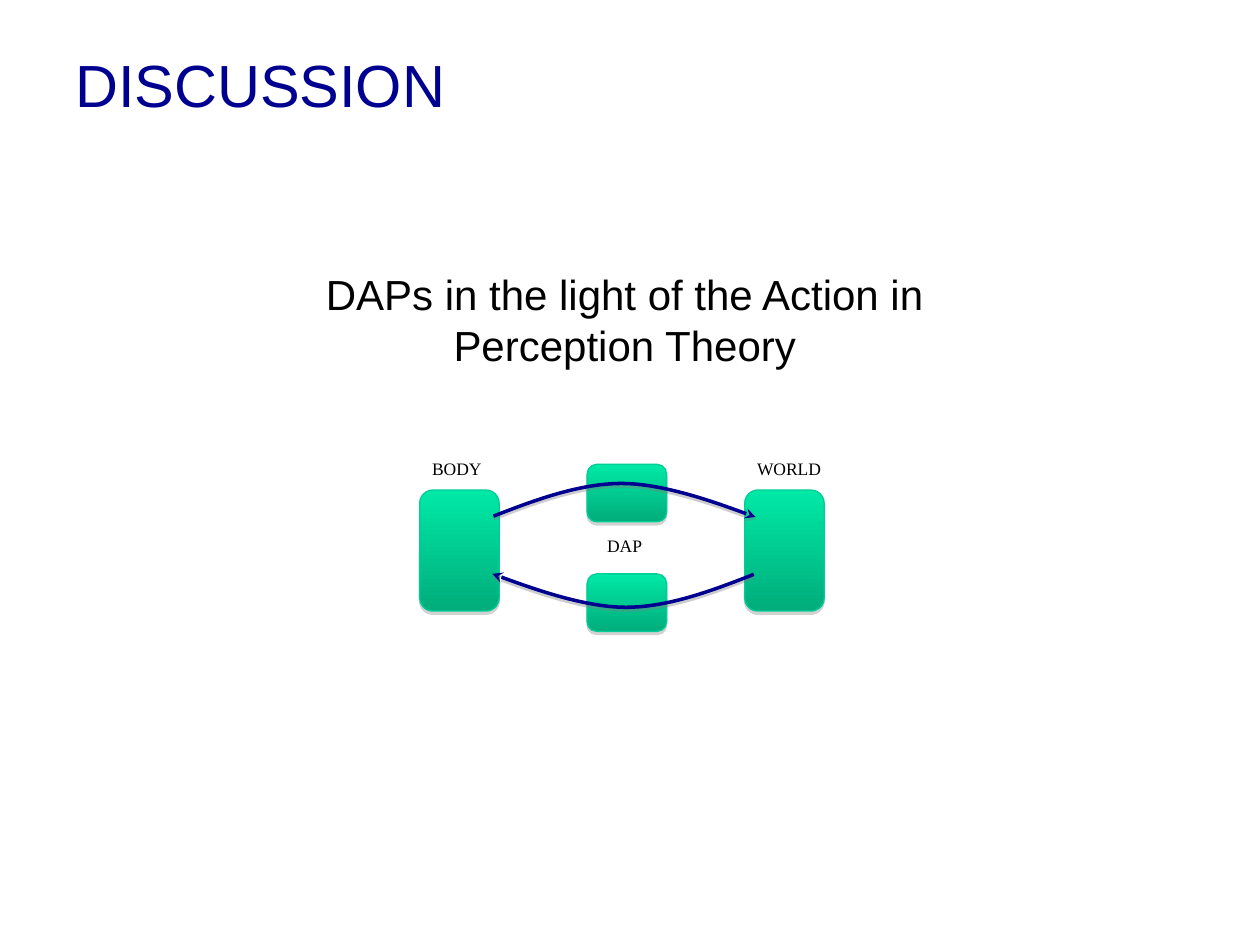
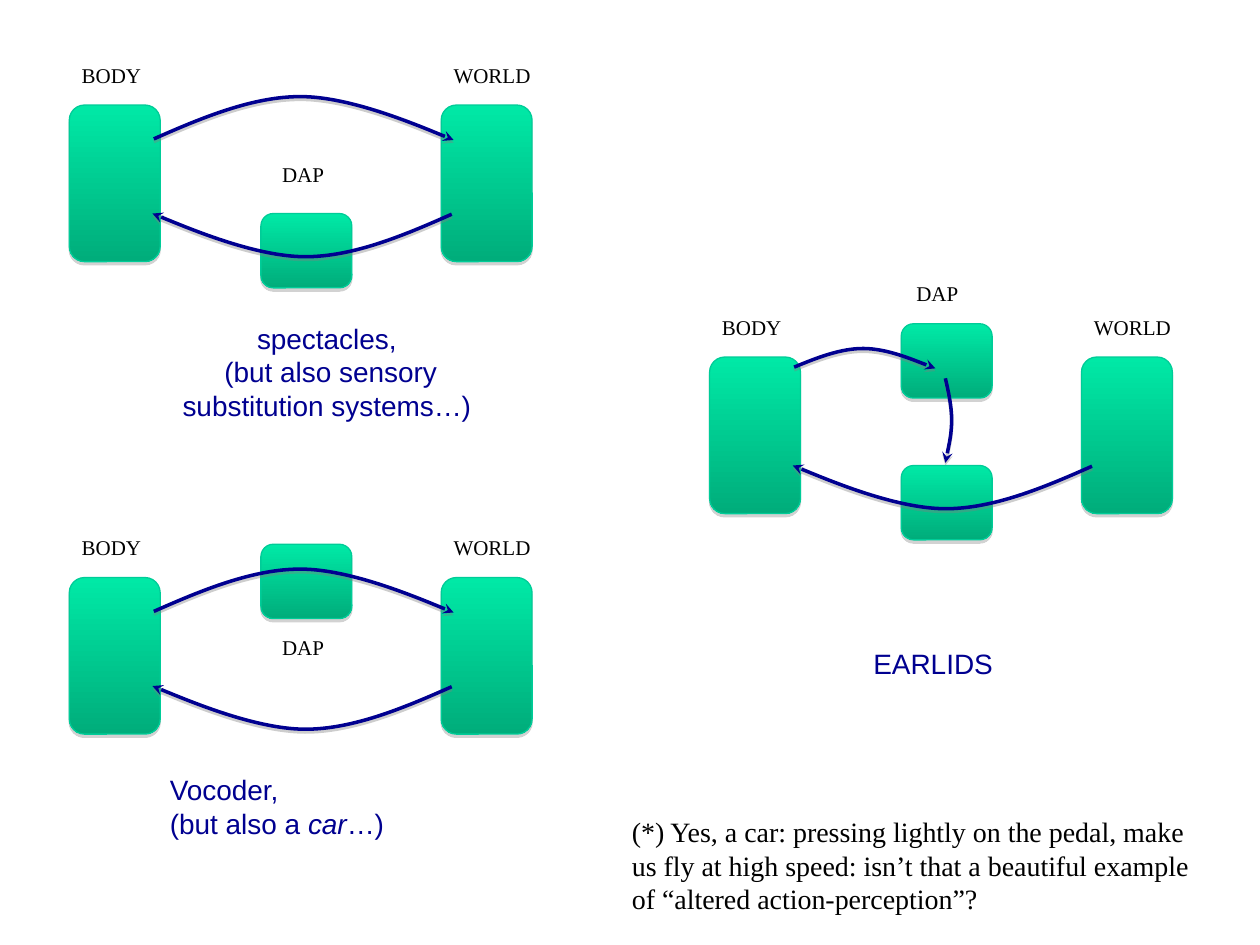
from dataclasses import dataclass
from math import hypot
from typing import NamedTuple, Sequence

from lxml import etree
from pptx import Presentation
from pptx.dml.color import RGBColor
from pptx.enum.shapes import MSO_SHAPE
from pptx.enum.text import MSO_ANCHOR, PP_ALIGN
from pptx.oxml.ns import qn
from pptx.util import Pt

ROUNDED = MSO_SHAPE.ROUNDED_RECTANGLE
LEFT, CENTER = PP_ALIGN.LEFT, PP_ALIGN.CENTER
TOP = MSO_ANCHOR.TOP


@dataclass(frozen=True)
class Theme:
    navy: RGBColor = RGBColor(0x00, 0x00, 0x90)
    black: RGBColor = RGBColor(0x00, 0x00, 0x00)
    block_top: RGBColor = RGBColor(0x00, 0xE9, 0xA6)
    block_bottom: RGBColor = RGBColor(0x00, 0xAD, 0x7B)
    block_edge: RGBColor = RGBColor(0x00, 0xCC, 0x98)
    shadow: str = "808080"
    sans: str = "Arial"
    serif: str = "Times New Roman"
    title_size: float = 34
    statement_size: float = 24
    caption_size: float = 16
    label_size: float = 12
    small_label_size: float = 10
    edge_width: float = 0.74
    arrow_width: float = 2


class Box(NamedTuple):
    left: float
    top: float
    width: float
    height: float


class Point(NamedTuple):
    x: float
    y: float


class Run(NamedTuple):
    text: str
    italic: bool = False


class Arc(NamedTuple):
    start: Point
    end: Point
    bulge: float


class Label(NamedTuple):
    text: str
    box: Box


@dataclass(frozen=True)
class Loop:
    origin: Point
    dap_blocks: Sequence[Box]
    dap_label: Box
    arcs: Sequence[Arc]
    scale_x: float = 1
    scale_y: float = 1
    label_size: float = 12

    def place(self, box: Box) -> Box:
        return Box(self.origin.x + box.left * self.scale_x,
                   self.origin.y + box.top * self.scale_y,
                   box.width * self.scale_x, box.height * self.scale_y)

    def locate(self, point: Point) -> Point:
        return Point(self.origin.x + point.x * self.scale_x,
                     self.origin.y + point.y * self.scale_y)


THEME = Theme()

BODY = Box(0, 0, 52, 89.5)
WORLD = Box(212.5, 0, 52, 89.5)
DAP_ACTION = Box(109.5, -19, 52, 42.5)
DAP_PERCEPTION = Box(109.5, 62, 52, 42.5)
BODY_LABEL = Label("BODY", Box(0, -28, 52.5, 21.6))
WORLD_LABEL = Label("WORLD", Box(212.5, -28, 63.5, 21.6))
DAP_MIDDLE = Box(114.5, 28.8, 39.6, 21.6)
DAP_ABOVE = Box(111, -47.5, 39.6, 21.6)

ACTION = Arc(Point(48.3, 19.4), Point(219.6, 20), 24.5)
PERCEPTION = Arc(Point(218.5, 62.4), Point(47.5, 62), 24.5)
ACTION_TO_DAP = Arc(Point(48.3, 5.8), Point(129, 6.5), 11)
DAP_TO_DAP = Arc(Point(134.7, 12.2), Point(134.7, 60.5), 3.6)

CURVE = ((0.16, 0.5), (0.33, 1), (0.49, 1), (0.66, 1), (1, 0), (1, 0))

THEORY_LOOP = Loop(Point(239.8, 280), (DAP_PERCEPTION, DAP_ACTION), DAP_MIDDLE,
                   (ACTION, PERCEPTION), 0.874, 0.773, THEME.small_label_size)
EXAMPLE_LOOPS = (
    Loop(Point(39.6, 60), (DAP_PERCEPTION,), DAP_MIDDLE, (ACTION, PERCEPTION)),
    Loop(Point(405.5, 204), (DAP_PERCEPTION, DAP_ACTION), DAP_ABOVE,
         (ACTION_TO_DAP, PERCEPTION, DAP_TO_DAP)),
    Loop(Point(39.6, 330), (DAP_ACTION,), DAP_MIDDLE, (ACTION, PERCEPTION)),
)


def add_text(slide, box: Box, paragraphs: Sequence[Sequence[Run]], *, size: float,
             font: str = THEME.sans, color: RGBColor = THEME.navy,
             align=LEFT, wrap: bool = True) -> None:
    frame = slide.shapes.add_textbox(*map(Pt, box)).text_frame
    frame.word_wrap = wrap
    frame.vertical_anchor = TOP
    for index, runs in enumerate(paragraphs):
        paragraph = frame.add_paragraph() if index else frame.paragraphs[0]
        paragraph.alignment = align
        for part in runs:
            run = paragraph.add_run()
            run.text = part.text
            run.font.name = font
            run.font.size = Pt(size)
            run.font.color.rgb = color
            run.font.italic = part.italic


def add_shadow(shape, distance: float, opacity: int) -> None:
    shape.shadow.inherit = False
    effects = shape._element.spPr.find(qn("a:effectLst"))
    shadow = etree.SubElement(effects, qn("a:outerShdw"), blurRad="0",
                              dist=str(Pt(distance)), dir="5400000",
                              algn="ctr", rotWithShape="0")
    color = etree.SubElement(shadow, qn("a:srgbClr"), val=THEME.shadow)
    etree.SubElement(color, qn("a:alpha"), val=str(opacity * 1000))


def add_block(slide, box: Box) -> None:
    block = slide.shapes.add_shape(ROUNDED, *map(Pt, box))
    block.adjustments[0] = 0.167
    block.fill.gradient()
    block.fill.gradient_angle = 270
    colors = (THEME.block_top, THEME.block_bottom)
    for position, (stop, color) in enumerate(zip(block.fill.gradient_stops, colors)):
        stop.position = position
        stop.color.rgb = color
    block.line.color.rgb = THEME.block_edge
    block.line.width = Pt(THEME.edge_width)
    add_shadow(block, 1.8, 35)


def add_arc(slide, start: Point, end: Point, bulge: float) -> None:
    dx, dy = end.x - start.x, end.y - start.y
    length = hypot(dx, dy)
    points = [Point(start.x + along * dx + rise * bulge * dy / length,
                    start.y + along * dy - rise * bulge * dx / length)
              for along, rise in CURVE]
    builder = slide.shapes.build_freeform(Pt(start.x), Pt(start.y))
    builder.add_line_segments([(Pt(p.x), Pt(p.y)) for p in (points[2], points[5])],
                              close=False)
    arc = builder.convert_to_shape()
    segments = list(arc._element.iter(qn("a:lnTo")))
    for segment, controls in zip(segments, (points[:3], points[3:])):
        curve = etree.Element(qn("a:cubicBezTo"))
        for point in controls:
            etree.SubElement(curve, qn("a:pt"), x=str(Pt(point.x) - arc.left),
                             y=str(Pt(point.y) - arc.top))
        segment.getparent().replace(segment, curve)
    arc.fill.background()
    arc.line.color.rgb = THEME.navy
    arc.line.width = Pt(THEME.arrow_width)
    etree.SubElement(arc._element.spPr.find(qn("a:ln")), qn("a:tailEnd"), type="stealth")
    add_shadow(arc, 1.6, 38)


def add_loop(slide, loop: Loop) -> None:
    for block in (*loop.dap_blocks, BODY, WORLD):
        add_block(slide, loop.place(block))
    for label in (Label("DAP", loop.dap_label), BODY_LABEL, WORLD_LABEL):
        add_text(slide, loop.place(label.box), [[Run(label.text)]], size=loop.label_size,
                 font=THEME.serif, color=THEME.black, wrap=False)
    for arc in loop.arcs:
        add_arc(slide, loop.locate(arc.start), loop.locate(arc.end),
                arc.bulge * loop.scale_y)


def build_discussion(slide) -> None:
    add_text(slide, Box(174, 150, 366, 65), size=THEME.statement_size,
             paragraphs=[[Run("DAPs in the light of the Action in Perception Theory")]],
             color=THEME.black, align=CENTER)
    add_loop(slide, THEORY_LOOP)
    add_text(slide, Box(36, 24, 642, 48), [[Run("DISCUSSION")]], size=THEME.title_size)


def build_examples(slide) -> None:
    for loop in EXAMPLE_LOOPS:
        add_loop(slide, loop)
    add_text(slide, Box(90, 180, 198, 65), size=THEME.caption_size, align=CENTER,
             paragraphs=[[Run("spectacles, ")],
                         [Run("(but also sensory substitution systems…) ")]])
    add_text(slide, Box(90, 438, 150, 46), size=THEME.caption_size,
             paragraphs=[[Run("Vocoder,")],
                         [Run("(but also a "), Run("car", italic=True), Run("…)")]])
    add_text(slide, Box(354, 462, 342, 65), size=THEME.caption_size,
             paragraphs=[[Run("(*) Yes, a car: pressing lightly on the pedal, make us fly "
                              "at high speed: isn’t that a beautiful example of "
                              "“altered action-perception”?")]],
             font=THEME.serif, color=THEME.black)
    add_text(slide, Box(492, 366, 84, 27), [[Run("EARLIDS")]], size=THEME.caption_size)


def main() -> None:
    deck = Presentation()
    deck.slide_width, deck.slide_height = Pt(720), Pt(540)
    for build in (build_discussion, build_examples):
        build(deck.slides.add_slide(deck.slide_layouts[6]))
    deck.save("out.pptx")


main()
